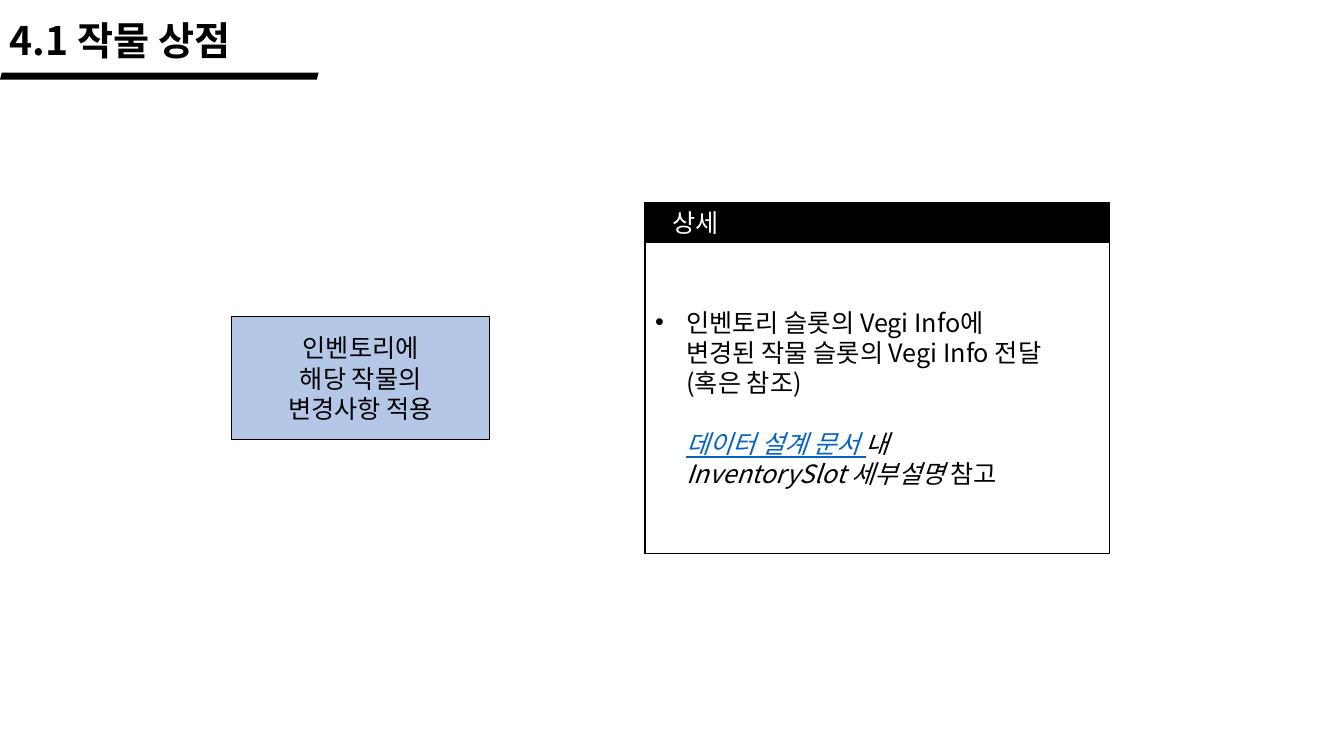
from dataclasses import dataclass

from lxml.etree import SubElement
from pptx import Presentation
from pptx.dml.color import RGBColor
from pptx.enum.shapes import MSO_SHAPE
from pptx.enum.text import MSO_ANCHOR, PP_ALIGN
from pptx.oxml.ns import qn
from pptx.util import Cm, Pt

FONT = "Noto Sans CJK KR"
BLACK = RGBColor(0x00, 0x00, 0x00)
WHITE = RGBColor(0xFF, 0xFF, 0xFF)
PALE_BLUE = RGBColor(0xB4, 0xC7, 0xE7)
LINK_BLUE = RGBColor(0x05, 0x63, 0xC1)
LINE_RATIO = 1.2
HANGING = Cm(0.79)


@dataclass
class Area:
    left: float
    top: float
    width: float
    height: float

    def lengths(self):
        return Cm(self.left), Cm(self.top), Cm(self.width), Cm(self.height)


@dataclass
class Span:
    text: str
    color: RGBColor = BLACK
    size: float = 18
    bold: bool = False
    italic: bool = False
    underline: bool = False


TITLE = Area(0, 0.28, 8.56, 1.45)
TITLE_BAR = Area(0, 1.83, 8.03, 0.18)
STEP = Area(5.84, 7.98, 6.5, 3.1)
PANEL = Area(16.26, 5.11, 11.71, 8.84)
PANEL_BODY = Area(16.26, 6.1, 11.71, 7.85)
PANEL_HEADING = Area(16.69, 5.11, 10.77, 1.7)


def add_box(page, area: Area, fill: RGBColor, kind=MSO_SHAPE.RECTANGLE, outlined: bool = True):
    box = page.shapes.add_shape(kind, *area.lengths())
    box.shadow.inherit = False
    box.fill.solid()
    box.fill.fore_color.rgb = fill
    if outlined:
        box.line.color.rgb = BLACK
        box.line.width = Pt(1)
    else:
        box.line.fill.background()
    box.text_frame.vertical_anchor = MSO_ANCHOR.MIDDLE
    return box


def add_label(page, area: Area, text: str, **style) -> None:
    box = page.shapes.add_textbox(*area.lengths())
    box.text_frame.word_wrap = True
    write_paragraph(box.text_frame.paragraphs[0], [Span(text, **style)])


def write_text(para, text: str, *, color: RGBColor, size: float, bold: bool,
               italic: bool, underline: bool) -> None:
    for index, line in enumerate(text.split("\n")):
        if index:
            para.add_line_break()
        run = para.add_run()
        run.text = line
        font = run.font
        font.size = Pt(size)
        font.bold = bold
        font.italic = italic
        font.underline = underline
        font.color.rgb = color
        font.name = FONT
        SubElement(run._r.get_or_add_rPr(), qn("a:ea"), typeface=FONT)


def write_paragraph(para, spans: list[Span], align=PP_ALIGN.LEFT) -> None:
    para.alignment = align
    para.line_spacing = Pt(spans[0].size * LINE_RATIO)
    for span in spans:
        write_text(para, span.text, color=span.color, size=span.size, bold=span.bold,
                   italic=span.italic, underline=span.underline)


def indent_paragraph(para, bullet: str = "") -> None:
    properties = para._p.get_or_add_pPr()
    properties.set("marL", str(HANGING))
    if bullet:
        properties.set("indent", str(-HANGING))
        SubElement(properties, qn("a:buFont"), typeface="Arial")
        SubElement(properties, qn("a:buChar"), char=bullet)


def add_step(page) -> None:
    frame = add_box(page, STEP, PALE_BLUE).text_frame
    for index, line in enumerate(["인벤토리에", "해당 작물의", "변경사항 적용"]):
        para = frame.add_paragraph() if index else frame.paragraphs[0]
        write_paragraph(para, [Span(line)], PP_ALIGN.CENTER)


def add_detail_panel(page) -> None:
    add_box(page, PANEL, BLACK)
    frame = add_box(page, PANEL_BODY, WHITE).text_frame
    task = frame.paragraphs[0]
    indent_paragraph(task, bullet="•")
    write_paragraph(task, [
        Span("인벤토리 슬롯의 Vegi Info에\n변경된 작물 슬롯의 Vegi Info 전달\n(혹은 참조)"),
    ])
    reference = frame.add_paragraph()
    indent_paragraph(reference)
    write_paragraph(reference, [
        Span("데이터 설계 문서 ", LINK_BLUE, italic=True, underline=True),
        Span("내\nInventorySlot 세부설명", italic=True),
        Span(" 참고"),
    ])
    reference.space_before = Pt(18 * LINE_RATIO)
    add_label(page, PANEL_HEADING, "상세", color=WHITE)


def main() -> None:
    deck = Presentation()
    deck.slide_width, deck.slide_height = Cm(33.87), Cm(19.05)
    page = deck.slides.add_slide(deck.slide_layouts[6])
    add_label(page, TITLE, "4.1 작물 상점", size=28, bold=True)
    add_box(page, TITLE_BAR, BLACK, MSO_SHAPE.PARALLELOGRAM, outlined=False)
    add_step(page)
    add_detail_panel(page)
    deck.save("out.pptx")


if __name__ == "__main__":
    main()
